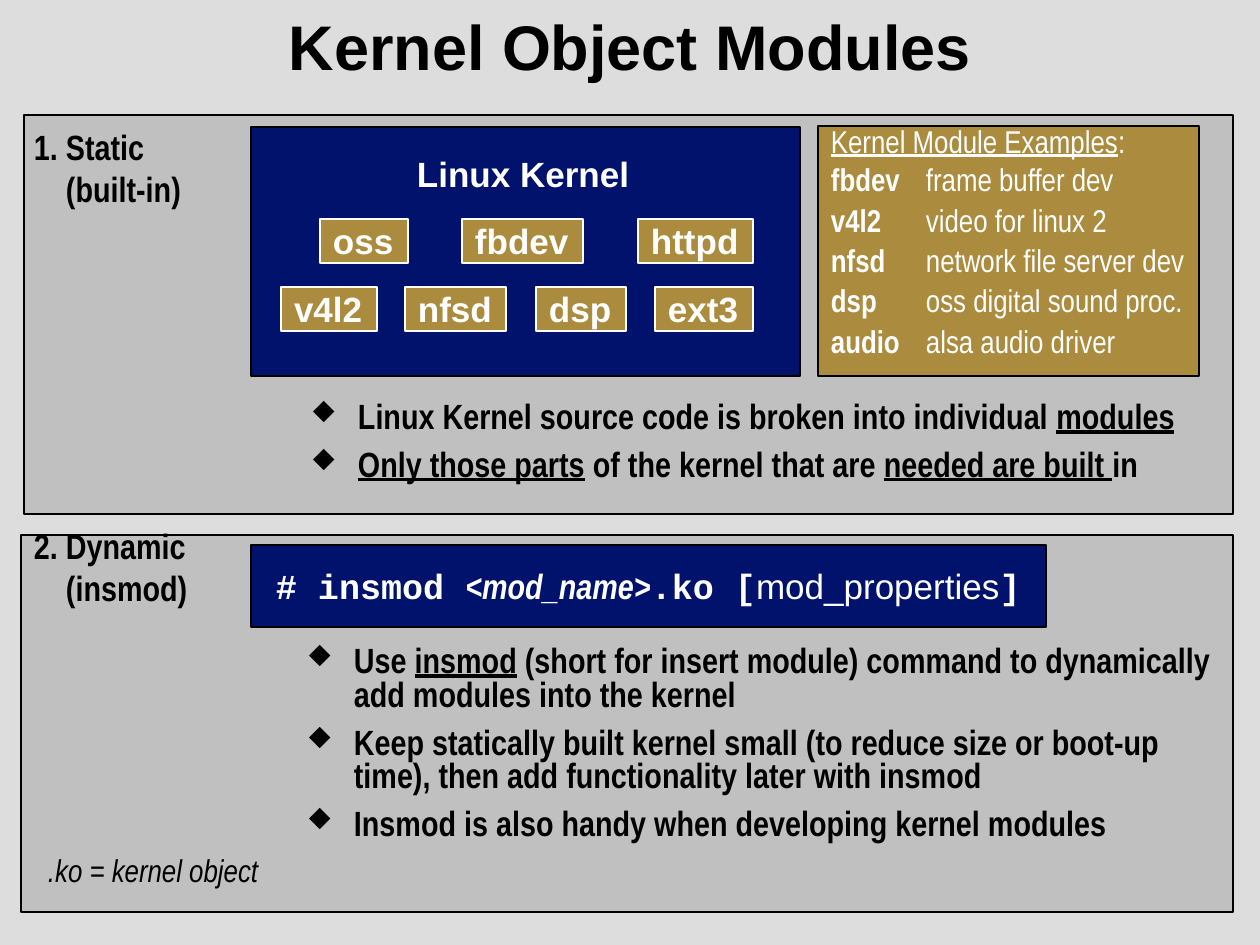
from dataclasses import dataclass

from lxml.etree import SubElement
from pptx import Presentation
from pptx.dml.color import RGBColor
from pptx.enum.shapes import MSO_SHAPE as Shape
from pptx.enum.text import MSO_ANCHOR as Anchor, MSO_AUTO_SIZE as AutoSize, PP_ALIGN as Align
from pptx.oxml.ns import qn
from pptx.util import Pt

EMU_PER_INCH = 914400
PX_PER_INCH = 126


@dataclass(frozen=True)
class Theme:
    backdrop: str = "DDDDDD"
    panel: str = "C0C0C0"
    navy: str = "00126C"
    gold: str = "AB8C3F"
    dark: str = "000000"
    light: str = "FFFFFF"
    sans: str = "Arial"
    narrow: str = "Arial Narrow"
    mono: str = "Courier New"
    bullet_font: str = "Wingdings"
    bullet_diamond: str = "u"  # the diamond's place in the bullet font
    title_size: int = 36
    body_size: int = 20
    note_size: int = 18


THEME = Theme()

# A run is (text, style letters, optional font): b bold, i italic, u underlined.
COMMAND = [
    ("# insmod ", "b", THEME.mono),
    ("<mod_name>", "bi", THEME.narrow),
    (".ko [", "b", THEME.mono),
    ("mod_properties", "", THEME.sans),
    ("]", "b", THEME.mono),
]
STATIC_POINTS = [
    [("Linux Kernel source code is broken into individual ", "b"), ("modules", "bu")],
    [("Only those parts", "bu"), (" of the kernel that are ", "b"),
     ("needed are built ", "bu"), ("in", "b")],
]
DYNAMIC_POINTS = [
    [("Use ", "b"), ("insmod", "bu"),
     (" (short for insert module) command to dynamically add modules into the kernel", "b")],
    [("Keep statically built kernel small (to reduce size or boot-up time), "
      "then add functionality later with insmod", "b")],
    [("Insmod is also handy when developing kernel modules", "b")],
]
EXAMPLES = [
    ("fbdev", "frame buffer dev"),
    ("v4l2", "video for linux 2"),
    ("nfsd", "network file server dev"),
    ("dsp", "oss digital sound proc."),
    ("audio", "alsa audio driver"),
]
# Row top -> (module, left, width)
MODULE_ROWS = {
    219: [("oss", 320, 88), ("fbdev", 462, 121), ("httpd", 638, 115)],
    287: [("v4l2", 281, 96), ("nfsd", 405, 101), ("dsp", 536, 90), ("ext3", 655, 98)],
}
MODULE_HEIGHT = 44


def px(length):
    return round(length * EMU_PER_INCH / PX_PER_INCH)


def color(value):
    return RGBColor.from_string(value)


def add_panel(slide, box, fill, line=THEME.dark):
    panel = slide.shapes.add_shape(Shape.RECTANGLE, *map(px, box))
    panel.shadow.inherit = False
    panel.fill.solid()
    panel.fill.fore_color.rgb = color(fill)
    panel.line.color.rgb = color(line)
    panel.line.width = Pt(1)
    return panel


def set_up_frame(shape, wrap=False, inset_x=13, inset_y=6):
    frame = shape.text_frame
    frame.word_wrap = wrap
    frame.auto_size = AutoSize.SHAPE_TO_FIT_TEXT
    frame.vertical_anchor = Anchor.TOP
    frame.margin_left = frame.margin_right = px(inset_x)
    frame.margin_top = frame.margin_bottom = px(inset_y)
    return frame


def add_text_frame(slide, box, wrap=False):
    return set_up_frame(slide.shapes.add_textbox(*map(px, box)), wrap)


def add_run(paragraph, text, style="", font=THEME.narrow, size=THEME.body_size, ink=THEME.dark):
    run = paragraph.add_run()
    run.text = text
    run.font.name = font
    run.font.size = Pt(size)
    run.font.color.rgb = color(ink)
    run.font.bold = "b" in style
    run.font.italic = "i" in style
    run.font.underline = "u" in style


def next_paragraph(frame, index, spacing, before):
    """Return the paragraph at index; only later ones get space before."""
    paragraph = frame.add_paragraph() if index else frame.paragraphs[0]
    paragraph.alignment = Align.LEFT
    paragraph.line_spacing = spacing
    if index:
        paragraph.space_before = Pt(before)
    return paragraph


def set_hanging_indent(paragraph, indent):
    properties = paragraph._p.get_or_add_pPr()
    properties.set("marL", str(px(indent)))
    properties.set("indent", str(-px(indent)))
    return properties


def add_title(slide, text):
    title = slide.shapes.title
    title.left, title.top, title.width, title.height = map(px, (0, 0, 1260, 102))
    title.text_frame.vertical_anchor = Anchor.MIDDLE
    title.text_frame.margin_bottom = px(18)
    paragraph = title.text_frame.paragraphs[0]
    paragraph.alignment = Align.CENTER
    add_run(paragraph, text, "b", THEME.sans, THEME.title_size)


def add_heading(slide, top, number, name, detail):
    frame = add_text_frame(slide, (21, top, 220, 96), wrap=True)
    paragraph = next_paragraph(frame, 0, 1.0, 0)
    set_hanging_indent(paragraph, 32)
    add_run(paragraph, f"{number}.\t{name}", "b")
    paragraph.add_line_break()
    add_run(paragraph, detail, "b")


def add_bullets(slide, box, points):
    frame = add_text_frame(slide, box, wrap=True)
    for index, runs in enumerate(points):
        paragraph = next_paragraph(frame, index, 0.8, 8)
        properties = set_hanging_indent(paragraph, 47)
        SubElement(properties, qn("a:buSzPct"), val="75000")
        SubElement(properties, qn("a:buFont"), typeface=THEME.bullet_font, charset="2")
        SubElement(properties, qn("a:buChar"), char=THEME.bullet_diamond)
        for run in runs:
            add_run(paragraph, *run)


def add_examples(slide):
    frame = set_up_frame(add_panel(slide, (818, 126, 381, 250), THEME.gold))
    rows = [[("Kernel Module Examples", "u"), (":", "")]]
    rows += [[(module, "b"), (f"\t{meaning}", "")] for module, meaning in EXAMPLES]
    for index, runs in enumerate(rows):
        paragraph = next_paragraph(frame, index, 0.9 if index else 0.7, 3.6)
        tabs = SubElement(paragraph._p.get_or_add_pPr(), qn("a:tabLst"))
        SubElement(tabs, qn("a:tab"), pos=str(px(95)), algn="l")
        for text, style in runs:
            add_run(paragraph, text, style, size=THEME.note_size, ink=THEME.light)


def add_kernel(slide):
    add_panel(slide, (251, 127, 549, 249), THEME.navy)
    label = add_text_frame(slide, (404, 155, 250, 47))
    add_run(next_paragraph(label, 0, 0.8, 0), "Linux Kernel", "b", THEME.sans, ink=THEME.light)
    for top, modules in MODULE_ROWS.items():
        for name, left, width in modules:
            tag = add_panel(slide, (left, top, width, MODULE_HEIGHT), THEME.gold, THEME.light)
            frame = set_up_frame(tag, inset_y=0)
            add_run(next_paragraph(frame, 0, 1.0, 0), name, "b", THEME.sans, ink=THEME.light)


def add_command(slide):
    frame = set_up_frame(add_panel(slide, (251, 545, 795, 82), THEME.navy), inset_x=25, inset_y=19)
    paragraph = next_paragraph(frame, 0, 1.0, 0)
    for run in COMMAND:
        add_run(paragraph, *run, ink=THEME.light)


def add_footnote(slide, text):
    frame = add_text_frame(slide, (35, 849, 237, 47))
    add_run(next_paragraph(frame, 0, 0.9, 0), text, "i", size=THEME.note_size)


def main():
    deck = Presentation()
    deck.slide_width, deck.slide_height = px(1260), px(945)
    slide = deck.slides.add_slide(deck.slide_layouts[5])
    slide.background.fill.solid()
    slide.background.fill.fore_color.rgb = color(THEME.backdrop)

    add_title(slide, "Kernel Object Modules")
    add_panel(slide, (21, 535, 1212, 377), THEME.panel)
    add_panel(slide, (24, 115, 1209, 399), THEME.panel)

    add_heading(slide, 120, 1, "Static", "(built-in)")
    add_kernel(slide)
    add_examples(slide)
    add_bullets(slide, (298, 397, 940, 97), STATIC_POINTS)

    add_heading(slide, 519, 2, "Dynamic", "(insmod)")
    add_command(slide)
    add_bullets(slide, (294, 641, 945, 217), DYNAMIC_POINTS)
    add_footnote(slide, ".ko = kernel object")
    deck.save("out.pptx")


if __name__ == "__main__":
    main()
